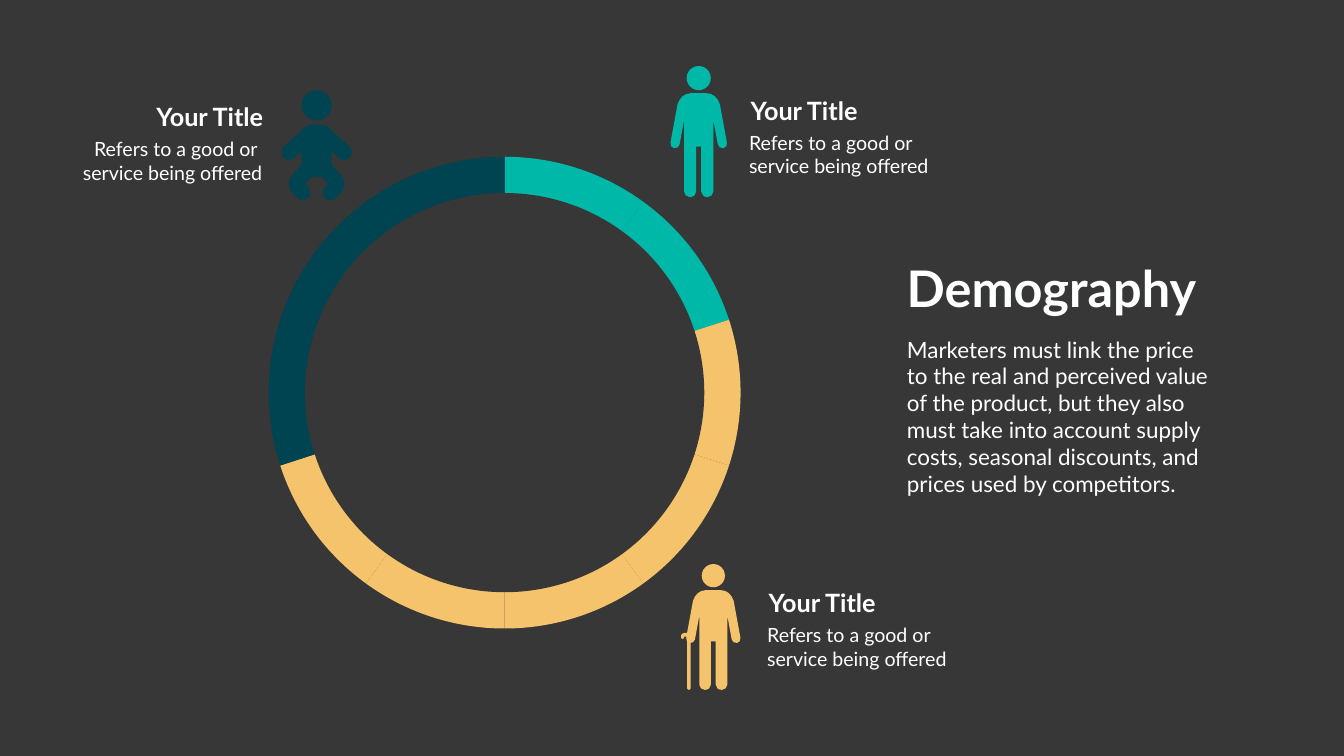
import math
from dataclasses import dataclass

import pptx
import pptx.dml.color
import pptx.enum.shapes
import pptx.enum.text
import pptx.oxml
import pptx.oxml.ns
import pptx.util

# The page is a grid of square cells, one inch each.
CELL = pptx.util.Inches(1)
PAGE_COLUMNS, PAGE_ROWS = 26.66, 15
FONT = "Lato"
TEAL, SAND, PETROL = "00B8A7", "F4C36B", "004351"
GREY, WHITE = "373737", "FEFFFF"
ALIGN = pptx.enum.text.PP_ALIGN
Point = tuple[float, float]
Step = tuple[float, ...]

RING_CENTER = (10.01, 7.79)
RING_RADIUS, HOLE_RADIUS = 4.68, 3.96
WEDGE_COLORS = [TEAL] * 2 + [SAND] * 5 + [PETROL] * 3

# Outlines: two numbers are a straight step, six a cubic curve.
# Bodies give the right half only, measured from the top of the middle axis.
ADULT_HALF = [
    (0, 0), (0.16, 0), (0.28, 0, 0.38, 0.09, 0.42, 0.22), (0.56, 0.98),
    (0.57, 1.04, 0.54, 1.08, 0.49, 1.09), (0.44, 1.1, 0.39, 1.07, 0.38, 1.02),
    (0.29, 0.53), (0.29, 1.95), (0.29, 2.01, 0.24, 2.06, 0.18, 2.06),
    (0.17, 2.06), (0.1, 2.06, 0.05, 2.01, 0.05, 1.95), (0.05, 1.06),
]
BABY_HALF = [
    (0, 0), (0.05, 0), (0.17, 0, 0.26, 0.05, 0.32, 0.14), (0.65, 0.44),
    (0.71, 0.5, 0.71, 0.6, 0.65, 0.66), (0.59, 0.72, 0.5, 0.72, 0.44, 0.66),
    (0.3, 0.53), (0.3, 0.9),
]
BABY_SEAT = [(-0.3, 0.82), (0.3, 0.82), (0.1, 1.01), (0.04, 1.07, -0.04, 1.07, -0.1, 1.01)]
BABY_LEG = [
    (0.28, 0.78), (0.06, 1), (0.23, 1.18), (0.16, 1.25),
    (0.11, 1.31, 0.11, 1.41, 0.17, 1.46), (0.23, 1.52, 0.32, 1.52, 0.38, 1.46),
    (0.48, 1.36), (0.53, 1.31, 0.55, 1.24, 0.55, 1.18),
    (0.55, 1.12, 0.53, 1.04, 0.48, 1),
]
CANE = [
    (0.06, 0), (0.02, 0, 0, 0.03, 0, 0.05), (0, 0.1),
    (0, 0.11, 0.01, 0.12, 0.03, 0.12), (0.04, 0.12, 0.06, 0.11, 0.06, 0.1),
    (0.06, 0.07), (0.12, 0.07), (0.12, 1.1), (0.12, 1.11, 0.14, 1.13, 0.16, 1.13),
    (0.17, 1.13, 0.19, 1.11, 0.19, 1.1), (0.19, 0.07), (0.19, 0.03, 0.16, 0, 0.13, 0),
]


@dataclass
class Figure:
    axis: float
    shoulder_row: float
    scale: float
    head_radius: float
    head_rise: float
    half_body: list[Step]
    color: str


@dataclass
class Caption:
    """Title over two lines; edge is the aligned side of the title box."""
    edge: float
    row: float
    align: ALIGN
    shift: float = -0.03
    lines: tuple[str, str] = ("Refers to a good or", "service being offered")


BABY = Figure(6.28, 2.47, 1, 0.3, 0.38, BABY_HALF, PETROL)
ADULT = Figure(13.86, 1.85, 1, 0.24, 0.3, ADULT_HALF, TEAL)
ELDER = Figure(14.15, 11.71, 0.96, 0.24, 0.3, ADULT_HALF, SAND)
CAPTIONS = [
    Caption(5.32, 1.97, ALIGN.RIGHT, -0.02, ("Refers to a good or ", "service being offered")),
    Caption(14.79, 1.84, ALIGN.LEFT),
    Caption(15.15, 11.61, ALIGN.LEFT),
]


def rgb(color: str) -> pptx.dml.color.RGBColor:
    return pptx.dml.color.RGBColor.from_string(color)


def cells(count: float) -> pptx.util.Emu:
    return pptx.util.Emu(round(count * CELL))


def paint(shape, color: str) -> None:
    shape.fill.solid()
    shape.fill.fore_color.rgb = rgb(color)
    shape.line.fill.background()
    shape.shadow.inherit = False


def pairs(step: Step) -> list[Point]:
    return list(zip(step[::2], step[1::2]))


def mirror(outline: list[Step]) -> list[Step]:
    """Flip an outline over the middle axis and run it backwards."""
    flipped = [[(-x, y) for x, y in pairs(step)] for step in outline]
    steps = [flipped[-1][-1]]
    for before, step in zip(flipped[-2::-1], flipped[:0:-1]):
        steps.append(sum(step[-2::-1] + [before[-1]], ()))
    return steps


def draw_outline(page, outline: list[Step], origin: Point, color: str,
                 scale: float = 1) -> None:
    points = [(cells(origin[0] + scale * x), cells(origin[1] + scale * y))
              for step in outline for x, y in pairs(step)]
    builder = page.shapes.build_freeform(*points[0], scale=1.0)
    builder.add_line_segments(points[1:], close=True)
    shape = builder.convert_to_shape()
    segments = iter(shape._element.xpath(".//a:lnTo"))
    for step in outline[1:]:
        curve = next(segments)
        if len(step) == 6:  # three straight segments become one cubic curve
            for segment in (next(segments), next(segments)):
                curve.append(segment[0])
                segment.getparent().remove(segment)
            curve.tag = pptx.oxml.ns.qn("a:cubicBezTo")
    paint(shape, color)


def draw_disc(page, center: Point, radius: float, color: str) -> None:
    left, top = (cells(middle - radius) for middle in center)
    disc = page.shapes.add_shape(pptx.enum.shapes.MSO_SHAPE.OVAL, left, top,
                                 cells(2 * radius), cells(2 * radius))
    paint(disc, color)


def arc(start: float, sweep: float) -> Step:
    """One cubic curve along the ring, clockwise from the top."""
    reach = 4 / 3 * math.tan(sweep / 4)
    (sin_a, cos_a), (sin_b, cos_b) = ((math.sin(a), math.cos(a)) for a in (start, start + sweep))
    units = (sin_a + reach * cos_a, -cos_a + reach * sin_a,
             sin_b - reach * cos_b, -cos_b - reach * sin_b, sin_b, -cos_b)
    return tuple(RING_RADIUS * unit for unit in units)


def draw_ring(page) -> None:
    half = math.pi / len(WEDGE_COLORS)
    for index, color in enumerate(WEDGE_COLORS):
        start = 2 * half * index
        rim = (RING_RADIUS * math.sin(start), -RING_RADIUS * math.cos(start))
        wedge = [(0, 0), rim, arc(start, half), arc(start + half, half)]
        draw_outline(page, wedge, RING_CENTER, color)
    draw_disc(page, RING_CENTER, HOLE_RADIUS, GREY)


def draw_figure(page, figure: Figure) -> None:
    body = figure.half_body + mirror(figure.half_body)
    draw_outline(page, body, (figure.axis, figure.shoulder_row), figure.color, figure.scale)
    head_row = figure.shoulder_row - figure.scale * figure.head_rise
    draw_disc(page, (figure.axis, head_row), figure.scale * figure.head_radius, figure.color)


def place(box, left: float, top: float, width: float, height: float):
    box.left, box.top, box.width, box.height = map(cells, (left, top, width, height))
    return box


def write(box, lines: tuple[str, ...], size: int, bold: bool, align: ALIGN,
          wrap: bool = True) -> None:
    frame = box.text_frame
    frame.word_wrap = wrap
    frame.auto_size = pptx.enum.text.MSO_AUTO_SIZE.NONE
    frame.vertical_anchor = pptx.enum.text.MSO_ANCHOR.TOP
    frame.text = "\n".join(lines)
    for para in frame.paragraphs:
        if box.is_placeholder:
            properties = para._p.get_or_add_pPr()
            properties.set("marL", "0")
            properties.set("indent", "0")
            properties.append(pptx.oxml.parse_xml(
                '<a:buNone xmlns:a="http://schemas.openxmlformats.org/drawingml/2006/main"/>'))
            para.space_before = pptx.util.Pt(0)
        para.alignment = align
        para.font.name, para.font.size, para.font.bold = FONT, pptx.util.Pt(size), bold
        para.font.color.rgb = rgb(WHITE)


def draw_caption(page, caption: Caption) -> None:
    rows = [(("Your Title",), 36, True, 0, 0, 2.61, 0.71),
            (caption.lines, 28, False, caption.shift, 0.7, 3.97, 1.04)]
    for lines, size, bold, shift, drop, width, height in rows:
        left = caption.edge + shift - (width if caption.align == ALIGN.RIGHT else 0)
        box = page.shapes.add_textbox(0, 0, 0, 0)
        place(box, left, caption.row + drop, width, height)
        write(box, lines, size, bold, caption.align)


def main() -> None:
    deck = pptx.Presentation()
    deck.slide_width, deck.slide_height = cells(PAGE_COLUMNS), cells(PAGE_ROWS)
    page = deck.slides.add_slide(deck.slide_layouts[1])
    page.background.fill.solid()
    page.background.fill.fore_color.rgb = rgb(GREY)
    draw_ring(page)
    for figure in (ADULT, BABY, ELDER):
        draw_figure(page, figure)
    for outline in (BABY_LEG, mirror(BABY_LEG), BABY_SEAT):
        draw_outline(page, outline, (BABY.axis, BABY.shoulder_row), PETROL)
    draw_outline(page, CANE, (13.51, 12.56), SAND)
    title = place(page.shapes.title, 17.82, 5.06, 6.07, 1.31)
    write(title, ("Demography",), 72, True, ALIGN.CENTER, wrap=False)
    body = place(page.placeholders[1], 17.89, 6.61, 6.22, 3.33)
    write(body, ("Marketers must link the price to the real and perceived value of the "
                 "product, but they also must take into account supply costs, seasonal "
                 "discounts, and prices used by competitors.",), 32, False, ALIGN.LEFT)
    for caption in CAPTIONS:
        draw_caption(page, caption)
    deck.save("out.pptx")


if __name__ == "__main__":
    main()
